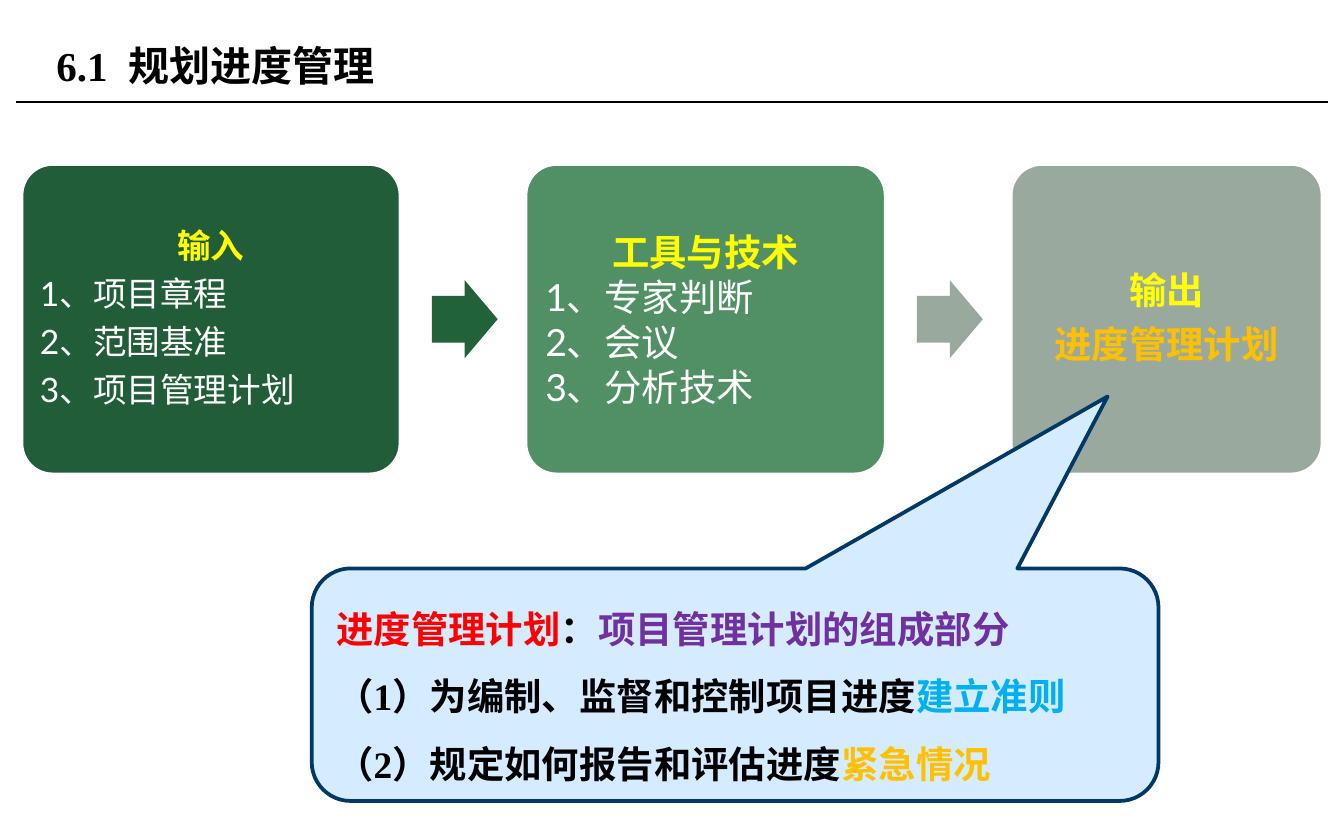
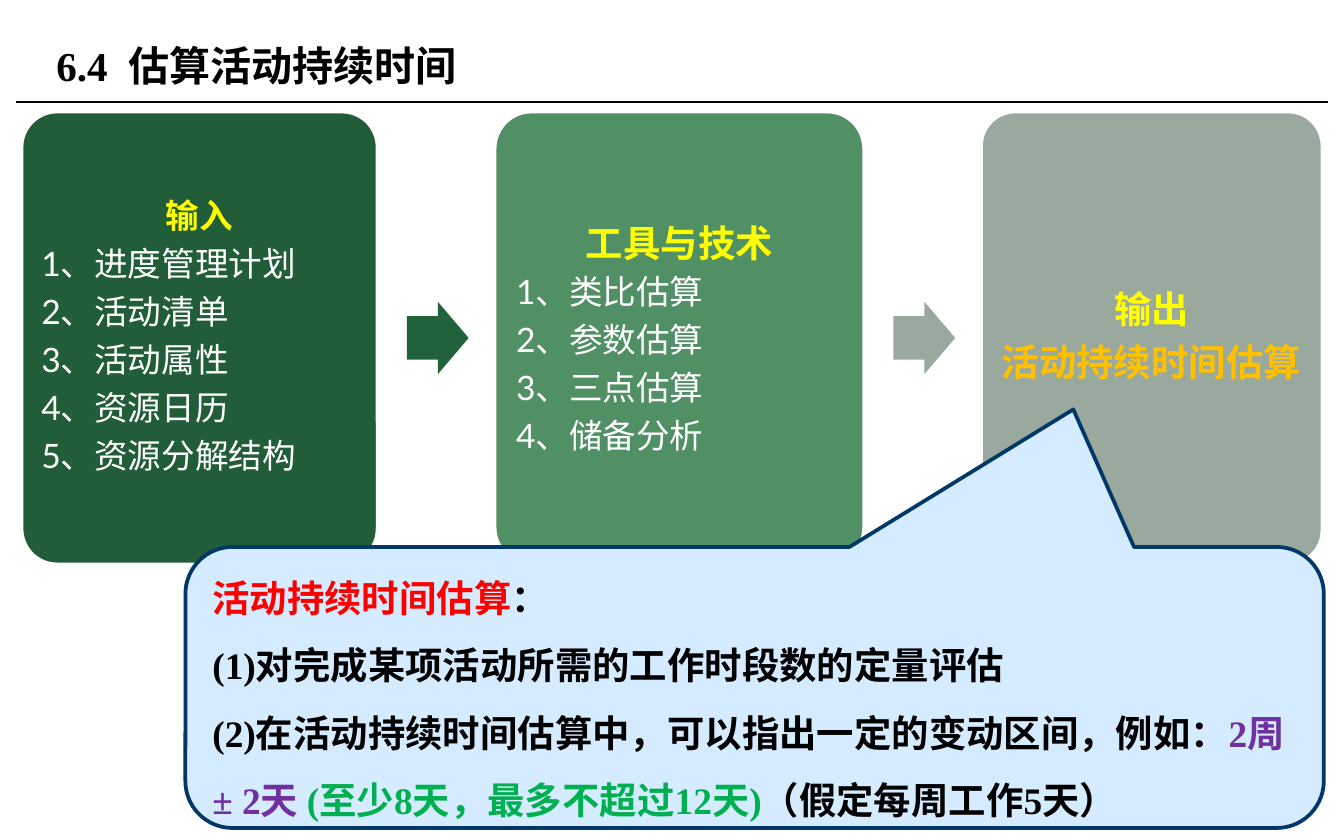
from lxml import etree
from pptx import Presentation
from pptx.dml.color import RGBColor
from pptx.enum.shapes import MSO_CONNECTOR, MSO_SHAPE
from pptx.enum.text import MSO_ANCHOR, PP_ALIGN
from pptx.oxml.ns import qn
from pptx.util import Inches, Pt

STRAIGHT = MSO_CONNECTOR.STRAIGHT
ROUNDED = MSO_SHAPE.ROUNDED_RECTANGLE
ARROW = MSO_SHAPE.RIGHT_ARROW
CALLOUT = MSO_SHAPE.ROUNDED_RECTANGULAR_CALLOUT
LEFT, CENTER = PP_ALIGN.LEFT, PP_ALIGN.CENTER
MIDDLE = MSO_ANCHOR.MIDDLE

BLACK, WHITE, YELLOW, AMBER = "000000", "FFFFFF", "FFFF00", "FFC000"
RED, PURPLE, BLUE, GREEN = "FF0000", "7030A0", "00B0F0", "00B050"
CARD_FILLS = ("215D38", "519065", "9AA99E")
ARROW_FILLS = ("22623B", "99A99D")
CALLOUT_FILL, CALLOUT_LINE = "D5EBFF", "013868"
CARD_LEFT = 0.16
CARD_INSETS = (0.07, 0.08, 0.08)
SERIF, SANS = "Times New Roman", "Lato"


def color(value):
    return RGBColor.from_string(value)


def spaced(size):
    return {"line_spacing": 0.9, "space_after": Pt(size * 0.35)}


def heading(text, size, **extra):
    return [(text, YELLOW, True)], size, {"alignment": CENTER, **extra}


def numbered(items, size, **extra):
    return [
        ([(f"{number}、{item}", WHITE, False)], size, {"alignment": LEFT, **extra})
        for number, item in enumerate(items, 1)
    ]


def result(text, alignment):
    return [
        heading("输出", 20, **spaced(20)),
        ([(text, AMBER, True)], 20, {"alignment": alignment, **spaced(20)}),
    ]


class Deck:
    def __init__(self):
        self.presentation = Presentation()
        self.presentation.slide_width = Inches(10)
        self.presentation.slide_height = Inches(6.25)
        self.slide = None

    def add_slide(self, title):
        self.slide = self.presentation.slides.add_slide(self.presentation.slide_layouts[5])
        shape = self.slide.shapes.title
        box = {"left": 0.32, "top": 0.13, "width": 6.38, "height": 0.71}
        for name, value in box.items():
            setattr(shape, name, Inches(value))
        self.fill_text(shape, [([(title, BLACK, True)], 22, {"alignment": LEFT})], SERIF)
        self.rule()

    def rule(self):
        connector = self.slide.shapes.add_connector(
            STRAIGHT, Inches(0.12), Inches(0.76), Inches(9.88), Inches(0.76)
        )
        connector.line.color.rgb = color(BLACK)
        connector.line.width = Pt(0.75)
        etree.SubElement(connector._element.spPr, qn("a:effectLst"))

    def shape(self, kind, box, fill, line, adjustments):
        shape = self.slide.shapes.add_shape(kind, *map(Inches, box))
        shape.shadow.inherit = False
        shape.fill.solid()
        shape.fill.fore_color.rgb = color(fill)
        if line:
            shape.line.color.rgb = color(line)
            shape.line.width = Pt(2)
        else:
            shape.line.fill.background()
        for index, value in enumerate(adjustments):
            shape.adjustments[index] = value
        return shape

    def fill_text(self, shape, paragraphs, font_name, inset=None):
        frame = shape.text_frame
        frame.word_wrap = True
        frame.vertical_anchor = MIDDLE
        if inset is not None:
            for side in ("left", "top", "right", "bottom"):
                setattr(frame, f"margin_{side}", Inches(inset))
        for index, (runs, size, formats) in enumerate(paragraphs):
            paragraph = frame.add_paragraph() if index else frame.paragraphs[0]
            for name, value in formats.items():
                setattr(paragraph, name, value)
            for text, text_color, bold in runs:
                run = paragraph.add_run()
                run.text = text
                font_formats = {"name": font_name, "size": Pt(size), "bold": bold}
                for name, value in font_formats.items():
                    setattr(run.font, name, value)
                run.font.color.rgb = color(text_color)

    def process(self, top, height, widths, gap, arrow_size, cards):
        left = CARD_LEFT
        arrow_width, arrow_height = arrow_size
        arrow_top = top + (height - arrow_height) / 2
        for index, (width, paragraphs) in enumerate(zip(widths, cards)):
            box = (left, top, width, height)
            card = self.shape(ROUNDED, box, CARD_FILLS[index], WHITE, [0.1])
            self.fill_text(card, paragraphs, SANS, CARD_INSETS[index])
            left += width + gap
            if index < len(ARROW_FILLS):
                arrow_box = (left - gap * 0.75, arrow_top, arrow_width, arrow_height)
                self.shape(ARROW, arrow_box, ARROW_FILLS[index], None, [0.6, 0.5])

    def callout(self, box, tip, lines):
        shape = self.shape(CALLOUT, box, CALLOUT_FILL, CALLOUT_LINE, [*tip, 0.167])
        formats = {"alignment": LEFT, "line_spacing": 1.5}
        paragraphs = [
            ([(text, text_color, True) for text, text_color in line], 20, formats)
            for line in lines
        ]
        self.fill_text(shape, paragraphs, SERIF)


def schedule_planning(deck):
    deck.add_slide("6.1  规划进度管理")
    inputs = ["项目章程", "范围基准", "项目管理计划"]
    tools = ["专家判断", "会议", "分析技术"]
    cards = [
        [heading("输入", 18, **spaced(18)), *numbered(inputs, 18, **spaced(18))],
        [heading("工具与技术", 20), *numbered(tools, 20)],
        result("进度管理计划", CENTER),
    ]
    deck.process(1.22, 2.31, (2.82, 2.68, 2.32), 0.93, (0.49, 0.58), cards)
    deck.callout((2.32, 4.23, 6.3, 1.73), (0.44, -1.24), [
        [("进度管理计划", RED), ("：", BLACK), ("项目管理计划的组成部分", PURPLE)],
        [("（1）为编制、监督和控制项目进度", BLACK), ("建立准则", BLUE)],
        [("（2）规定如何报告和评估进度", BLACK), ("紧急情况", AMBER)],
    ])


def duration_estimating(deck):
    deck.add_slide("6.4  估算活动持续时间")
    inputs = ["进度管理计划", "活动清单", "活动属性", "资源日历", "资源分解结构"]
    tools = ["类比估算", "参数估算", "三点估算", "储备分析"]
    cards = [
        [heading("输入", 18, **spaced(18)), *numbered(inputs, 18, **spaced(18))],
        [heading("工具与技术", 20, space_after=Pt(6)), *numbered(tools, 18, **spaced(18))],
        result("活动持续时间估算", LEFT),
    ]
    deck.process(0.83, 3.37, (2.65, 2.75, 2.54), 0.87, (0.46, 0.54), cards)
    deck.callout((1.38, 4.07, 8.47, 2.09), (0.28, -0.99), [
        [("活动持续时间估算", RED), ("：", BLACK)],
        [("(1)对完成某项活动所需的工作时段数的定量评估", BLACK)],
        [
            ("(2)在活动持续时间估算中，可以指出一定的变动区间，例如：", BLACK),
            ("2周 ± 2天 ", PURPLE),
            ("(至少8天，最多不超过12天)", GREEN),
            ("（假定每周工作5天）", BLACK),
        ],
    ])


def main():
    deck = Deck()
    schedule_planning(deck)
    duration_estimating(deck)
    deck.presentation.save("out.pptx")


if __name__ == "__main__":
    main()
